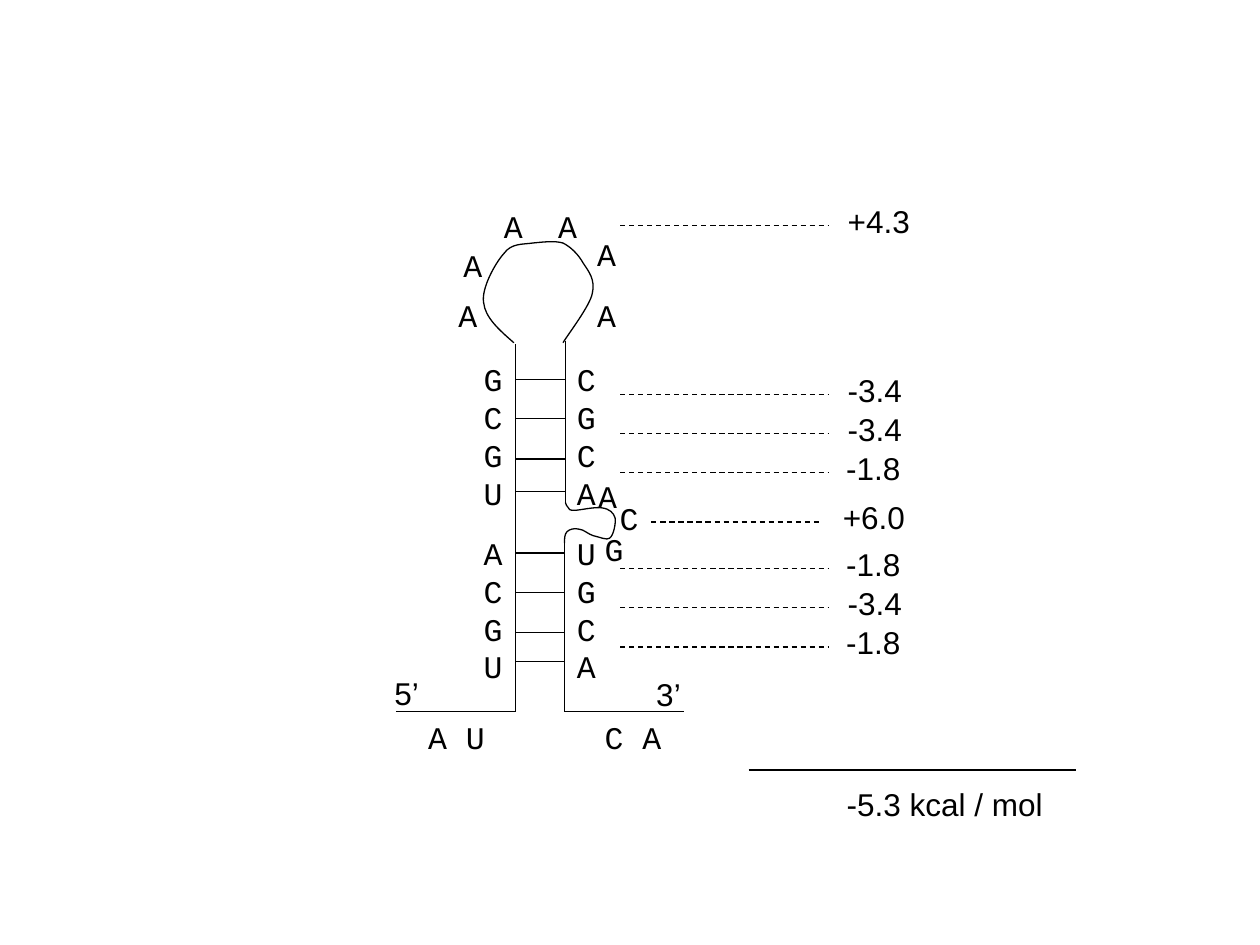
from pptx import Presentation, util as u
from pptx.dml.color import RGBColor
from pptx.enum import dml, shapes, text
from pptx.oxml.ns import qn
from lxml import etree

COLORS = {"ink": "000000"}
BASES, LABELS = "Courier New", "Arial"

LEFT, RIGHT, BASELINE = 10.39, 11.38, 14.35
UPPER_RIGHT = 11.40
LINE_HEIGHT = 0.76
ENERGY_STEP = 0.79

# Each curve is a start point followed by Bezier triples (two controls, one end).
HAIRPIN_LOOP = [
    (10.36, 6.91), (10.06, 6.65), (9.78, 6.40), (9.75, 6.10),
    (9.70, 5.82), (9.98, 5.31), (10.16, 5.11),
    (10.31, 4.90), (10.54, 4.93), (10.74, 4.90),
    (10.95, 4.88), (11.18, 4.85), (11.35, 4.90),
    (11.51, 4.98), (11.66, 5.13), (11.76, 5.31),
    (11.86, 5.46), (12.01, 5.64), (11.94, 5.92),
    (11.89, 6.17), (11.46, 6.73), (11.35, 6.91),
]
BULGE = [
    (11.40, 10.13), (11.40, 10.16), (11.43, 10.21), (11.46, 10.24),
    (11.48, 10.26), (11.46, 10.29), (11.58, 10.29),
    (11.68, 10.29), (12.01, 10.21), (12.14, 10.24),
    (12.29, 10.26), (12.37, 10.34), (12.40, 10.44),
    (12.42, 10.54), (12.37, 10.80), (12.29, 10.85),
    (12.24, 10.90), (12.07, 10.82), (11.96, 10.80),
    (11.86, 10.77), (11.76, 10.67), (11.68, 10.67),
    (11.58, 10.64), (11.48, 10.67), (11.43, 10.72),
    (11.38, 10.77), (11.38, 10.87), (11.38, 10.95),
]
LOOP_BASES = [(8.99, 5.84), (9.09, 4.83), (9.91, 4.04),
              (11.00, 4.04), (11.79, 4.62), (11.79, 5.84)]
BULGE_BASES = [("A", 11.81, 9.50), ("C", 12.24, 9.93), ("G", 11.94, 10.57)]

# Top of the letters, left bases, right bases, heights of the pair bonds
STEMS = [
    (7.14, "GCGU", "CGCA", (7.65, 8.43, 9.25, 9.91)),
    (10.64, "ACGU", "UGCA", (11.15, 11.94, 12.75, 13.34)),
]
# Height of the first leader, energies of the stacked pairs
STACKS = [(7.95, ("-3.4", "-3.4", "-1.8")), (11.46, ("-1.8", "-3.4", "-1.8"))]


def ink(line):
    line.color.rgb = RGBColor.from_string(COLORS["ink"])
    line.width = u.Pt(0.75)


def add_line(slide, x1, y1, x2, y2, dashed=False):
    line = slide.shapes.add_connector(
        shapes.MSO_CONNECTOR.STRAIGHT, u.Cm(x1), u.Cm(y1), u.Cm(x2), u.Cm(y2))
    ink(line.line)
    if dashed:
        line.line.dash_style = dml.MSO_LINE.DASH
    etree.SubElement(line._element.spPr, qn("a:effectLst"))


def add_curve(slide, nodes):
    """Draw an outline through the nodes, then join them as cubic Beziers."""
    start, *rest = [(u.Cm(x), u.Cm(y)) for x, y in nodes]
    builder = slide.shapes.build_freeform(*start)
    builder.add_line_segments(rest, close=False)
    curve = builder.convert_to_shape()
    segments = list(curve._element.iter(qn("a:lnTo")))
    outline = segments[0].getparent()
    for first in range(0, len(segments), 3):
        bezier = etree.SubElement(outline, qn("a:cubicBezTo"))
        for segment in segments[first:first + 3]:
            bezier.append(segment[0])
            outline.remove(segment)
    curve.fill.background()
    ink(curve.line)
    curve.shadow.inherit = False


def add_text(slide, lines, x, y, width, font=BASES):
    """Place a list of lines, one paragraph each."""
    height = 0.26 + LINE_HEIGHT * len(lines)
    frame = slide.shapes.add_textbox(
        u.Cm(x), u.Cm(y), u.Cm(width), u.Cm(height)).text_frame
    frame.word_wrap = False
    frame.auto_size = text.MSO_AUTO_SIZE.SHAPE_TO_FIT_TEXT
    frame.text = "\n".join(lines)
    for paragraph in frame.paragraphs:
        for run in paragraph.runs:
            run.font.name = font
            run.font.size = u.Pt(18)
            run.font.color.rgb = RGBColor.from_string(COLORS["ink"])


def add_base(slide, base, x, y):
    add_text(slide, [base], x, y, 0.89)


def add_stem(slide, top, left_bases, right_bases, bonds):
    add_text(slide, list(left_bases), 9.50, top, 0.89)
    add_text(slide, list(right_bases), RIGHT, top, 0.89)
    for y in bonds:
        add_line(slide, LEFT, y, RIGHT, y)


def add_energy(slide, energy, y, start=12.50, end=16.69, label=16.84, width=1.62):
    """Draw a dashed leader and the energy it leads to."""
    add_line(slide, start, y, end, y, dashed=True)
    add_text(slide, [energy], label, y - 0.6, width, LABELS)


def add_strands(slide):
    add_line(slide, 7.98, BASELINE, LEFT, BASELINE)
    add_line(slide, RIGHT, BASELINE, 13.79, BASELINE)
    add_line(slide, LEFT, BASELINE, LEFT, 6.93)
    add_line(slide, RIGHT, BASELINE, RIGHT, 10.92)
    add_line(slide, UPPER_RIGHT, 10.13, UPPER_RIGHT, 6.88)
    add_curve(slide, HAIRPIN_LOOP)
    add_curve(slide, BULGE)


def add_strand_ends(slide):
    add_text(slide, ["A U"], 8.38, BASELINE, 1.65)
    add_text(slide, ["C A"], 11.94, BASELINE, 1.65)
    add_text(slide, ["5’"], 7.70, 13.46, 1.03, LABELS)
    add_text(slide, ["3’"], 12.98, 13.49, 1.03, LABELS)


def add_energies(slide):
    add_energy(slide, "+4.3", 4.55, width=1.8)
    add_energy(slide, "+6.0", 10.52, 13.13, 16.51, 16.74, 1.8)
    for first, energies in STACKS:
        for row, energy in enumerate(energies):
            label = 16.81 if energy == "-1.8" else 16.84
            add_energy(slide, energy, first + row * ENERGY_STEP, label=label)
    add_line(slide, 15.09, 15.52, 21.69, 15.52)
    add_text(slide, ["-5.3 kcal / mol"], 16.82, 15.70, 4.52, LABELS)


def main():
    deck = Presentation()
    deck.slide_width, deck.slide_height = u.Cm(25.4), u.Cm(19.05)
    slide = deck.slides.add_slide(deck.slide_layouts[6])
    add_strands(slide)
    add_strand_ends(slide)
    for stem in STEMS:
        add_stem(slide, *stem)
    for x, y in LOOP_BASES:
        add_base(slide, "A", x, y)
    for base, x, y in BULGE_BASES:
        add_base(slide, base, x, y)
    add_energies(slide)
    deck.save("out.pptx")


if __name__ == "__main__":
    main()
